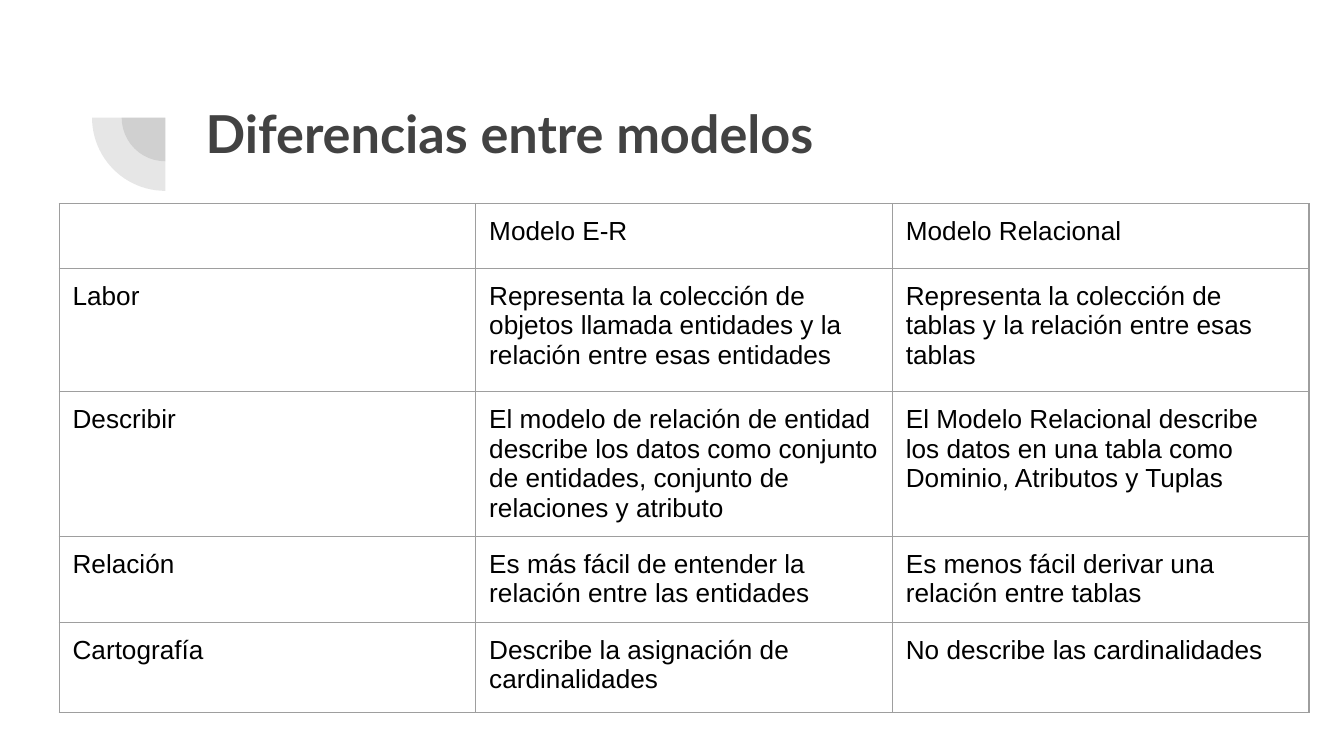
from lxml.etree import SubElement
from pptx import Presentation
from pptx.dml.color import RGBColor
from pptx.enum.shapes import MSO_SHAPE as Shape
from pptx.enum.text import MSO_ANCHOR as Anchor, MSO_AUTO_SIZE as AutoSize, PP_ALIGN as Align
from pptx.oxml import parse_xml
from pptx.oxml.ns import nsdecls, qn
from pptx.util import Pt

EMU_PER_PX = 4572
INK = "424242"
COMPARISON = [
    ["", "Modelo E-R", "Modelo Relacional"],
    ["Labor",
     "Representa la colección de objetos llamada entidades y la relación entre esas entidades",
     "Representa la colección de tablas y la relación entre esas tablas"],
    ["Describir",
     "El modelo de relación de entidad describe los datos como conjunto de entidades, "
     "conjunto de relaciones y atributo",
     "El Modelo Relacional describe los datos en una tabla como Dominio, Atributos y Tuplas"],
    ["Relación",
     "Es más fácil de entender la relación entre las entidades",
     "Es menos fácil derivar una relación entre tablas"],
    ["Cartografía",
     "Describe la asignación de cardinalidades",
     "No describe las cardinalidades"],
]
ROW_HEIGHTS = [86, 184, 212, 128, 134]


def px(length):
    """Turn px, at 200 to the inch, into EMU."""
    return length * EMU_PER_PX


def color(hex_code):
    """Turn a hex string into a colour."""
    return RGBColor.from_string(hex_code)


def add_run(paragraph, wording, font_name, size, hex_code, bold=False):
    """Add one formatted run to a paragraph."""
    run = paragraph.add_run()
    run.text = wording
    run.font.name, run.font.size, run.font.bold = font_name, Pt(size), bold
    run.font.color.rgb = color(hex_code)


def set_margins(frame):
    """Give a text frame or cell equal margins."""
    for side in ("left", "top", "right", "bottom"):
        setattr(frame, f"margin_{side}", px(20))


def add_ornament(slide, center_x, center_y, radii):
    """Draw overlapping translucent quarter discs around one centre."""
    ornament = slide.shapes.add_group_shape()
    for radius in radii:
        quarter = ornament.shapes.add_shape(
            Shape.PIE, px(center_x - radius), px(center_y - radius),
            px(2 * radius), px(2 * radius))
        quarter.adjustments[0], quarter.adjustments[1] = 108, 162
        quarter.rotation = 270
        quarter.shadow.inherit = False
        quarter.line.fill.background()
        quarter.fill.solid()
        quarter.fill.fore_color.rgb = color(INK)
        tint = quarter.fill._xPr.find(qn("a:solidFill"))[0]
        SubElement(tint, qn("a:alpha"), val="13000")


def place_title(slide, left, top, width, height):
    """Move the title placeholder into its box and fill it."""
    title = slide.shapes.title
    title.left, title.top, title.width, title.height = map(px, (left, top, width, height))
    frame = title.text_frame
    set_margins(frame)
    frame.word_wrap = True
    frame.auto_size = AutoSize.NONE
    frame.vertical_anchor = Anchor.TOP
    heading = frame.paragraphs[0]
    heading.alignment = Align.LEFT
    add_run(heading, "Diferencias entre modelos", "Lato", 28, INK, bold=True)


def add_borders(cell, hex_code, width):
    """Outline all four sides of a table cell."""
    properties = cell._tc.get_or_add_tcPr()
    for side in ("lnL", "lnR", "lnT", "lnB"):
        properties.append(parse_xml(
            f'<a:{side} {nsdecls("a")} w="{Pt(width)}"><a:solidFill>'
            f'<a:srgbClr val="{hex_code}"/></a:solidFill></a:{side}>'))


def fill_cell(cell, wording):
    """Write a cell's wording, or set the font of an empty cell."""
    paragraph = cell.text_frame.paragraphs[0]
    if wording:
        add_run(paragraph, wording, "Arial", 14, "000000")
    else:
        blank = SubElement(paragraph._p, qn("a:endParaRPr"), sz="1800")
        SubElement(blank, qn("a:latin"), typeface="Arial")


def add_comparison(slide, left, top, column_width):
    """Build the table that compares both models."""
    column_count = len(COMPARISON[0])
    table = slide.shapes.add_table(
        len(COMPARISON), column_count, px(left), px(top),
        px(column_width * column_count), px(sum(ROW_HEIGHTS))).table
    table.first_row = table.horz_banding = False
    for column in table.columns:
        column.width = px(column_width)
    for row, height, wordings in zip(table.rows, ROW_HEIGHTS, COMPARISON):
        row.height = px(height)
        for cell, wording in zip(row.cells, wordings):
            set_margins(cell)
            add_borders(cell, "9E9E9E", 0.75)
            cell.fill.background()
            fill_cell(cell, wording)


def main():
    """Build and save the slide."""
    deck = Presentation()
    deck.slide_width, deck.slide_height = px(2000), px(1125)
    slide = deck.slides.add_slide(deck.slide_layouts[5])
    slide.background.fill.solid()
    slide.background.fill.fore_color.rgb = color("FFFFFF")
    add_ornament(slide, 246, 175, (65, 109))
    place_title(slide, 286, 130, 1538, 218)
    add_comparison(slide, 88, 303, 620)
    deck.save("out.pptx")


if __name__ == "__main__":
    main()
